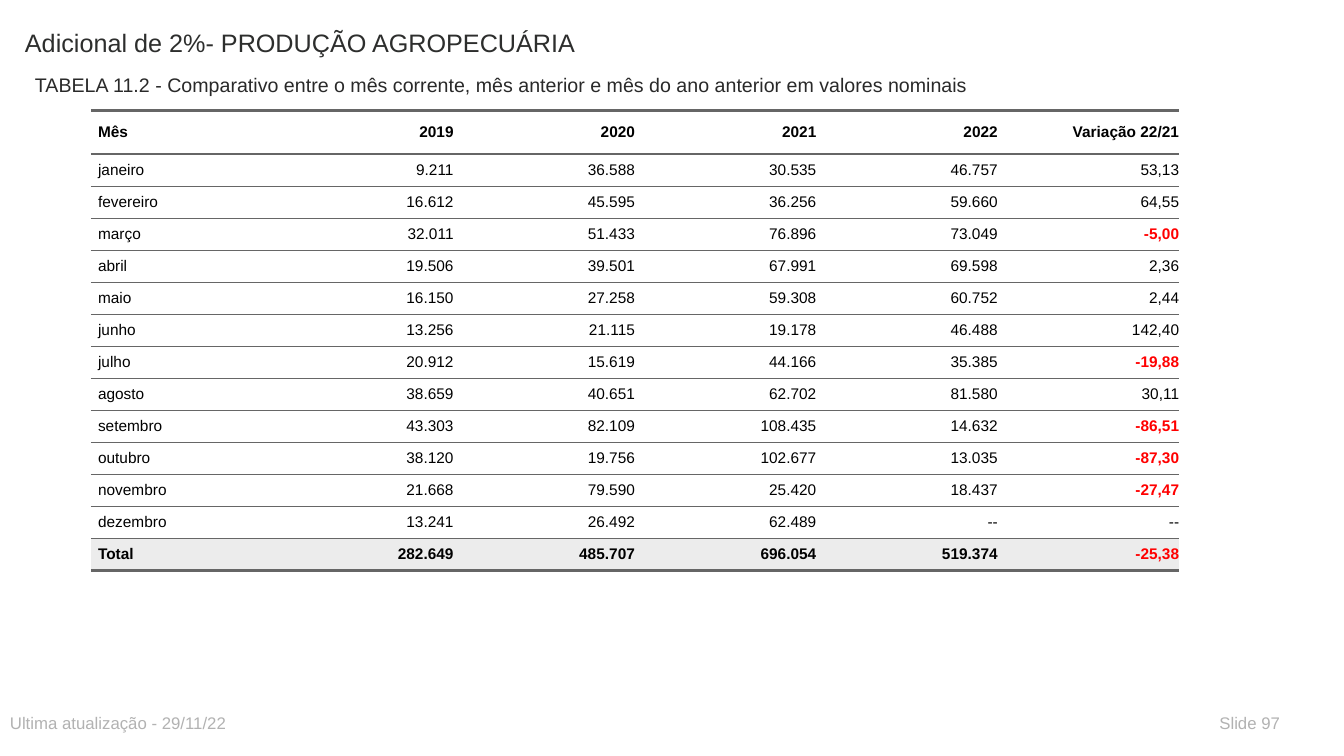
from lxml.etree import SubElement
from pptx import Presentation
from pptx.dml.color import RGBColor
from pptx.enum.text import MSO_ANCHOR, PP_ALIGN
from pptx.oxml.ns import qn
from pptx.util import Cm, Pt

FONT = "Arial"
RULE = "666666"
HEADER = ["Mês", "2019", "2020", "2021", "2022", "Variação 22/21"]
MONTHS = [
    ["janeiro", "9.211", "36.588", "30.535", "46.757", "53,13"],
    ["fevereiro", "16.612", "45.595", "36.256", "59.660", "64,55"],
    ["março", "32.011", "51.433", "76.896", "73.049", "-5,00"],
    ["abril", "19.506", "39.501", "67.991", "69.598", "2,36"],
    ["maio", "16.150", "27.258", "59.308", "60.752", "2,44"],
    ["junho", "13.256", "21.115", "19.178", "46.488", "142,40"],
    ["julho", "20.912", "15.619", "44.166", "35.385", "-19,88"],
    ["agosto", "38.659", "40.651", "62.702", "81.580", "30,11"],
    ["setembro", "43.303", "82.109", "108.435", "14.632", "-86,51"],
    ["outubro", "38.120", "19.756", "102.677", "13.035", "-87,30"],
    ["novembro", "21.668", "79.590", "25.420", "18.437", "-27,47"],
    ["dezembro", "13.241", "26.492", "62.489", "--", "--"],
]
TOTAL = ["Total", "282.649", "485.707", "696.054", "519.374", "-25,38"]


def rgb(value):
    """Turn a hex string into a colour."""
    return RGBColor.from_string(value)


def format_run(r, size, color, bold=False):
    """Set the font of a run."""
    r.font.name = FONT
    r.font.size = Pt(size)
    r.font.bold = bold
    r.font.color.rgb = rgb(color)


def add_label(slide, box, text, size, color):
    """Place one line of text in a box given in centimetres."""
    sp = slide.shapes.add_textbox(*[Cm(v) for v in box])
    tf = sp.text_frame
    tf.word_wrap = True
    tf.margin_top = Cm(0.18)
    tf.text = text
    format_run(tf.paragraphs[0].runs[0], size, color)


def set_borders(cell, top, bottom):
    """Draw the horizontal rules of a cell and hide its vertical ones."""
    tcPr = cell._tc.get_or_add_tcPr()
    for side, width in (("L", 0), ("R", 0), ("T", top), ("B", bottom)):
        ln = SubElement(tcPr, qn(f"a:ln{side}"), w=str(Pt(width)))
        if width:
            fill = SubElement(ln, qn("a:solidFill"))
            SubElement(fill, qn("a:srgbClr"), val=RULE)
        else:
            SubElement(ln, qn("a:noFill"))


def fill_cell(cell, text, numeric, bold, fill):
    """Write one table cell, with a negative value in bold red."""
    negative = text.startswith("-") and text != "--"
    cell.fill.solid()
    cell.fill.fore_color.rgb = rgb(fill)
    cell.vertical_anchor = MSO_ANCHOR.MIDDLE
    cell.margin_left = Cm(0.18)
    cell.margin_right = 0
    cell.margin_top = cell.margin_bottom = Cm(0.17)
    cell.text = text
    p = cell.text_frame.paragraphs[0]
    p.alignment = PP_ALIGN.RIGHT if numeric else PP_ALIGN.LEFT
    format_run(p.runs[0], 11, "FF0000" if negative else "000000",
               bold or negative)


def add_month_table(slide, box, header_height):
    """Build the monthly comparison table in a box given in centimetres."""
    rows = [HEADER, *MONTHS, TOTAL]
    last = len(rows) - 1
    left, top, width, height = box
    table = slide.shapes.add_table(len(rows), len(HEADER),
                                   *[Cm(v) for v in box]).table
    table.first_row = table.horz_banding = False
    rules = [2 if i in (0, 1, last + 1) else 0.5 for i in range(last + 2)]
    for column in table.columns:
        column.width = Cm(width / len(HEADER))
    for i, values in enumerate(rows):
        table.rows[i].height = Cm((height - header_height) / last if i
                                  else header_height)
        for j, text in enumerate(values):
            cell = table.cell(i, j)
            set_borders(cell, rules[i], rules[i + 1])
            fill_cell(cell, text, j > 0, i in (0, last),
                      "ECECEC" if i == last else "FFFFFF")


def add_headings(slide, box):
    """Place the slide title and the table caption."""
    left, top, width, height = box
    add_label(slide, (left, top, 20.32, 1.5),
              "Adicional de 2%- PRODUÇÃO AGROPECUÁRIA", 18, "2D2E2D")
    add_label(slide, (left + 0.25, top + 1.14, width, 0.76),
              "TABELA 11.2 - Comparativo entre o mês corrente, mês anterior "
              "e mês do ano anterior em valores nominais", 14, "292929")


def add_footer(slide, box):
    """Place the update date at the left and the slide number at the right."""
    left, top, width, height = box
    number_width = 2.29
    add_label(slide, (left, top, width / 2, height),
              "Ultima atualização - 29/11/22", 12, "B2B2B2")
    add_label(slide, (left + width - number_width, top, number_width, height),
              "Slide 97", 12, "B2B2B2")


def main():
    """Build and save the slide."""
    prs = Presentation()
    prs.slide_width, prs.slide_height = Cm(33.87), Cm(19.05)
    slide = prs.slides.add_slide(prs.slide_layouts[6])
    add_headings(slide, (0.38, 0.51, 25.4, 1.9))
    add_month_table(slide, (2.29, 2.79, 27.43, 11.29), 1.09)
    add_footer(slide, (0, 17.78, 32.77, 0.76))
    prs.save("out.pptx")


if __name__ == "__main__":
    main()
